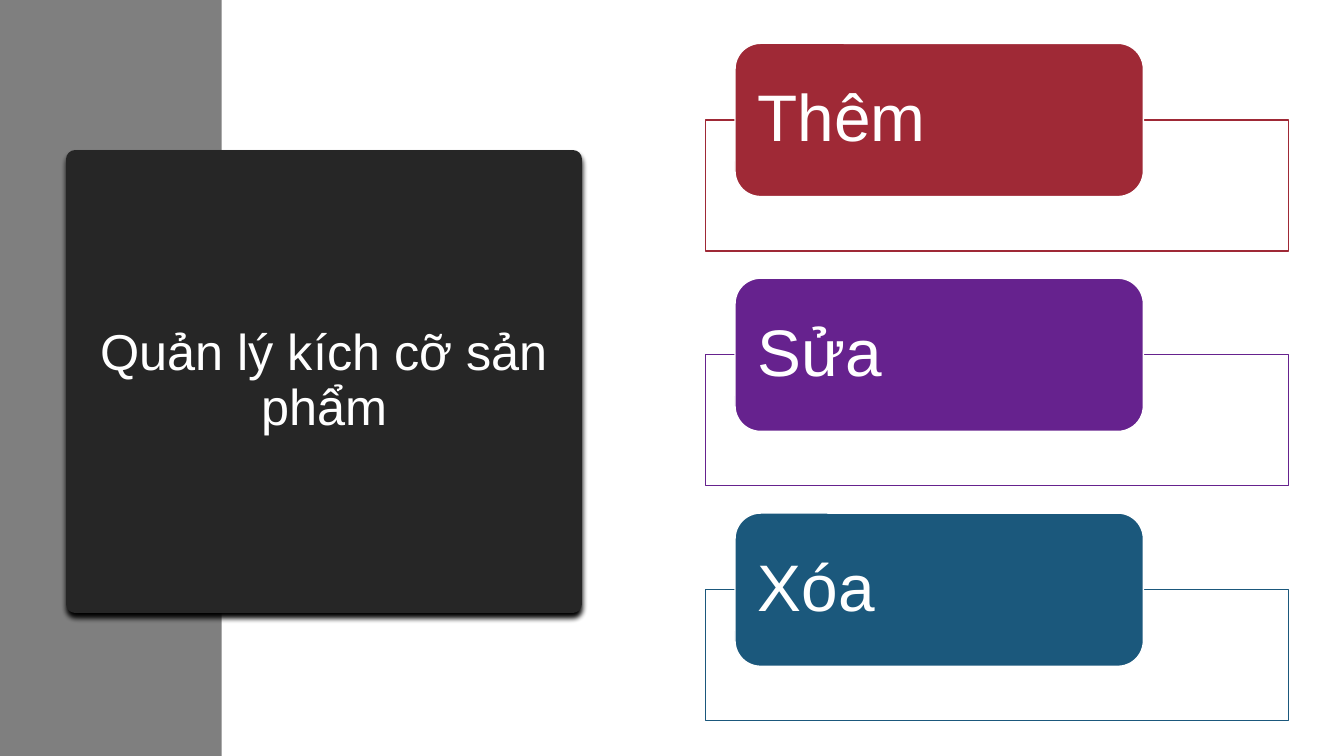
from dataclasses import dataclass

from lxml.etree import SubElement
from pptx import Presentation
from pptx.dml.color import RGBColor
from pptx.enum.shapes import MSO_SHAPE
from pptx.enum.text import MSO_ANCHOR, MSO_AUTO_SIZE, PP_ALIGN
from pptx.oxml import parse_xml
from pptx.oxml.ns import nsdecls, qn
from pptx.util import Inches, Pt


@dataclass(frozen=True)
class Theme:
    font: str = "Arial"
    title_size: float = 36
    action_size: float = 47
    white: str = "FFFFFF"
    band: str = "7F7F7F"
    panel: str = "262626"
    red: str = "9F2936"
    purple: str = "66228E"
    blue: str = "1B587C"


class SlideBuilder:
    def __init__(self, page, theme):
        self.page = page
        self.theme = theme

    def paint(self, shape, fill, line=None, line_width=1):
        shape.fill.solid()
        shape.fill.fore_color.rgb = RGBColor.from_string(fill)
        if line:
            shape.line.color.rgb = RGBColor.from_string(line)
            shape.line.width = Pt(line_width)
        else:
            shape.line.fill.background()

    def box(self, kind, left, top, width, height, fill, line=None):
        shape = self.page.shapes.add_shape(
            kind, Inches(left), Inches(top), Inches(width), Inches(height))
        shape.shadow.inherit = False
        self.paint(shape, fill, line)
        return shape

    def set_text(self, shape, text, size, align):
        frame = shape.text_frame
        frame.text = text
        frame.word_wrap = True
        frame.auto_size = MSO_AUTO_SIZE.NONE
        frame.vertical_anchor = MSO_ANCHOR.MIDDLE
        para = frame.paragraphs[0]
        para.alignment = align
        para.line_spacing = 0.9
        span = para.runs[0]
        span.font.name = self.theme.font
        span.font.size = Pt(size)
        span.font.color.rgb = RGBColor.from_string(self.theme.white)

    def title(self, text, left, top, width, height):
        title = self.page.shapes.title
        title.left, title.top = Inches(left), Inches(top)
        title.width, title.height = Inches(width), Inches(height)
        self.paint(title, self.theme.panel, self.theme.panel, 13.75)
        properties = title._element.spPr
        SubElement(properties.find(qn("a:ln")), qn("a:round"))
        properties.append(parse_xml(
            f'<a:effectLst {nsdecls("a")}>'
            '<a:outerShdw blurRad="50800" dist="38100" dir="5400000" rotWithShape="0">'
            '<a:srgbClr val="000000"/></a:outerShdw></a:effectLst>'))
        self.set_text(title, text, self.theme.title_size, PP_ALIGN.CENTER)
        self.page.shapes._spTree.append(title._element)

    def action(self, text, color, top):
        white = self.theme.white
        frame = self.box(MSO_SHAPE.RECTANGLE, 7, top + 0.76, 5.78, 1.3, white, color)
        fill_color = frame._element.spPr.find(qn("a:solidFill"))[0]
        SubElement(fill_color, qn("a:alpha")).set("val", "90000")
        label = self.box(MSO_SHAPE.ROUNDED_RECTANGLE, 7.29, top, 4.05, 1.52, color, white)
        self.set_text(label, text, self.theme.action_size, PP_ALIGN.LEFT)
        label.text_frame.margin_left = label.text_frame.margin_right = Inches(0.15)
        label.text_frame.margin_top = label.text_frame.margin_bottom = 0


def main():
    deck = Presentation()
    deck.slide_width, deck.slide_height = Inches(13.33), Inches(7.5)
    theme = Theme()
    builder = SlideBuilder(deck.slides.add_slide(deck.slide_layouts[5]), theme)

    builder.box(MSO_SHAPE.RECTANGLE, 0, 0, 2.2, 7.5, theme.band)
    builder.title("Quản lý kích cỡ sản phẩm", 0.75, 1.58, 4.93, 4.41)
    actions = [("Thêm", theme.red), ("Sửa", theme.purple), ("Xóa", theme.blue)]
    for index, (text, color) in enumerate(actions):
        builder.action(text, color, 0.43 + index * 2.33)

    deck.save("out.pptx")


if __name__ == "__main__":
    main()
